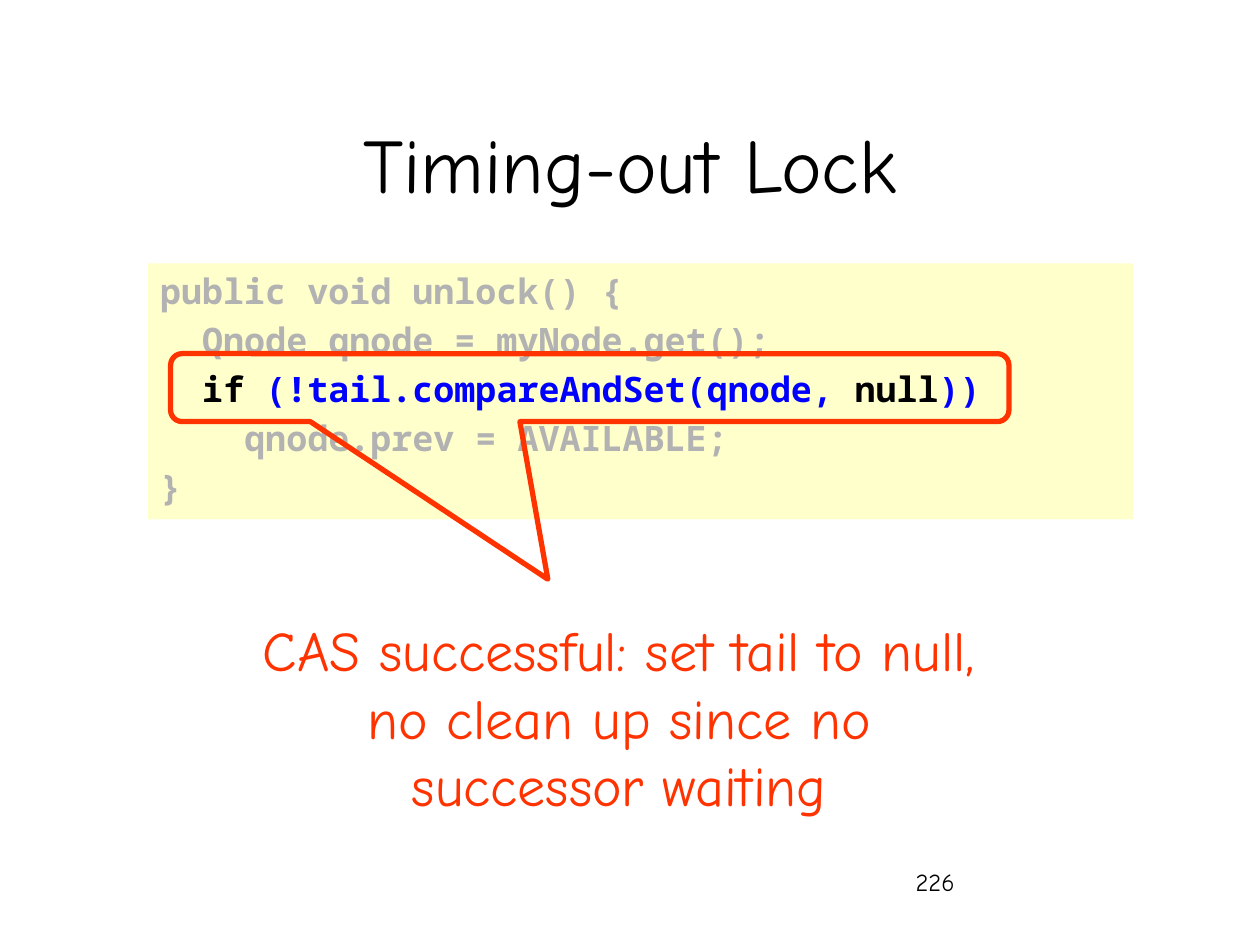
import pptx
import pptx.util
import pptx.dml.color
import pptx.enum.shapes
import pptx.enum.text
from dataclasses import dataclass

Cm = pptx.util.Cm
Pt = pptx.util.Pt
ALIGN = pptx.enum.text.PP_ALIGN
ANCHOR = pptx.enum.text.MSO_ANCHOR
SHAPE = pptx.enum.shapes.MSO_SHAPE


@dataclass(frozen=True)
class Theme:
    body: str = "Comic Neue"
    mono: str = "Noto Sans Mono"
    black: str = "000000"
    grey: str = "B2B2B2"
    blue: str = "0000FF"
    red: str = "FF3300"
    cream: str = "FFFFCC"
    title: int = 44
    note: int = 32
    code: int = 20
    small: int = 14


THEME = Theme()

# Each code line is a list of (text, colour) parts
CODE = [
    [("public void unlock() {", THEME.grey)],
    [("  Qnode qnode = myNode.get();", THEME.grey)],
    [("  ", THEME.blue), ("if", THEME.black),
     (" (!tail.compareAndSet(qnode, ", THEME.blue),
     ("null", THEME.black), ("))", THEME.blue)],
    [("    qnode.prev = AVAILABLE;", THEME.grey)],
    [("}", THEME.grey)],
]


def tint(color):
    return pptx.dml.color.RGBColor.from_string(color)


def style(run, face, size, color, bold=False):
    run.font.name = face
    run.font.size = Pt(size)
    run.font.color.rgb = tint(color)
    run.font.bold = bold


def add_text(slide, box, text, size, color, align=ALIGN.LEFT, anchor=ANCHOR.TOP):
    """Place one paragraph of body text in the box."""
    frame = slide.shapes.add_textbox(*map(Cm, box)).text_frame
    frame.word_wrap = True
    frame.vertical_anchor = anchor
    frame.text = text
    line = frame.paragraphs[0]
    line.alignment = align
    style(line.runs[0], THEME.body, size, color)


def add_code(slide, box):
    """Place the code panel and the callout around its third line."""
    left, top, width, height = box
    panel = slide.shapes.add_shape(SHAPE.RECTANGLE, *map(Cm, box))
    panel.shadow.inherit = False
    panel.fill.solid()
    panel.fill.fore_color.rgb = tint(THEME.cream)
    panel.line.fill.background()
    frame = panel.text_frame
    frame.word_wrap = True
    frame.vertical_anchor = ANCHOR.TOP
    for i, parts in enumerate(CODE):
        line = frame.paragraphs[0] if i == 0 else frame.add_paragraph()
        line.alignment = ALIGN.LEFT
        line.space_before = Pt(THEME.code * 0.2)
        for text, color in parts:
            run = line.add_run()
            run.text = text
            style(run, THEME.mono, THEME.code, color, bold=True)

    # Callout, with its tip pointing down at the note
    call = slide.shapes.add_shape(
        SHAPE.ROUNDED_RECTANGULAR_CALLOUT,
        Cm(left + 0.46), Cm(top + 1.82), Cm(width - 2.96), Cm(1.37))
    call.shadow.inherit = False
    call.fill.background()
    call.line.color.rgb = tint(THEME.red)
    call.line.width = Pt(3)
    for i, value in enumerate((-0.05, 2.82, 0.17)):
        call.adjustments[i] = value


def main():
    deck = pptx.Presentation()
    deck.slide_width, deck.slide_height = Cm(25.4), Cm(19.05)
    slide = deck.slides.add_slide(deck.slide_layouts[6])

    # Page number
    add_text(slide, (18.21, 17.35, 5.28, 1.27), "226", THEME.small, THEME.black)
    # Code with callout
    add_code(slide, (2.98, 5.31, 19.86, 5.16))
    # Title
    add_text(slide, (1.9, 1.7, 21.6, 3.18), "Timing-out Lock",
             THEME.title, THEME.black, ALIGN.CENTER, ANCHOR.MIDDLE)
    # Note
    add_text(slide, (4.93, 12.29, 15.11, 4.32),
             "CAS successful: set tail to null, no clean up since no successor waiting",
             THEME.note, THEME.red, ALIGN.CENTER)

    deck.save("out.pptx")


if __name__ == "__main__":
    main()
